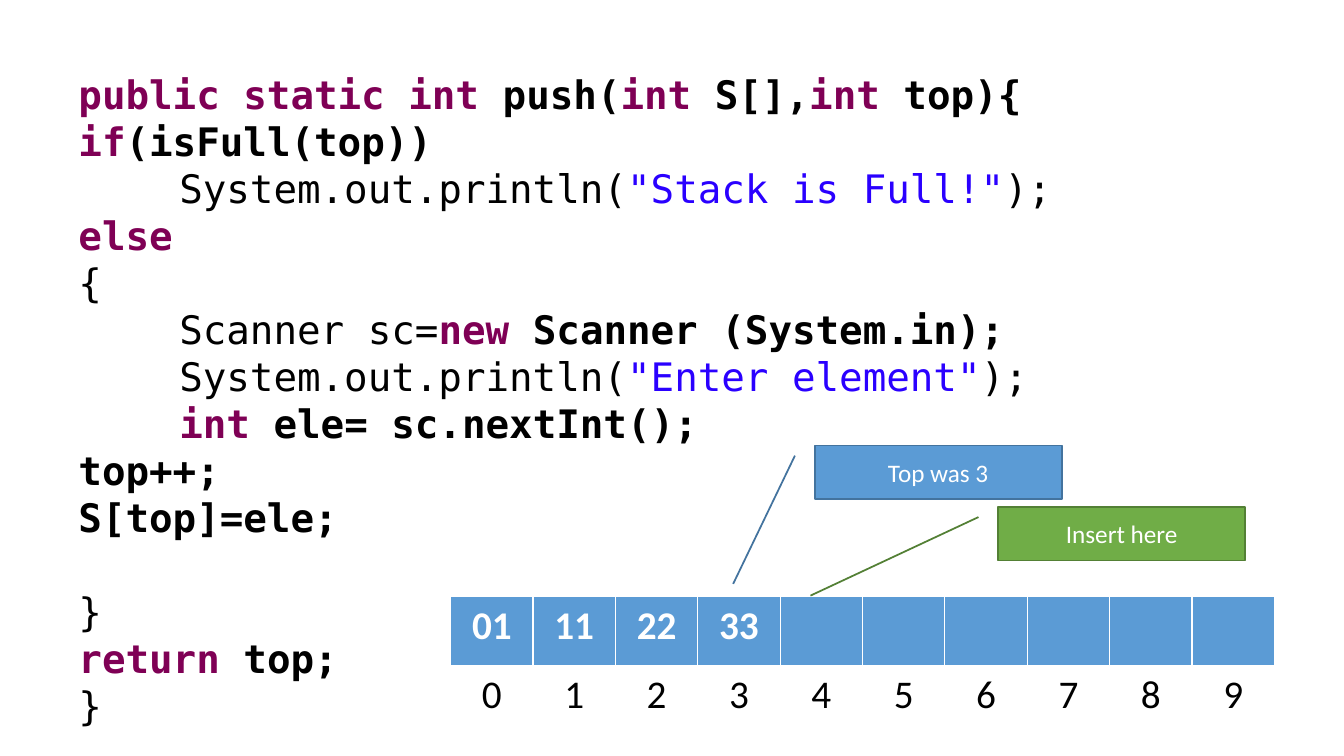
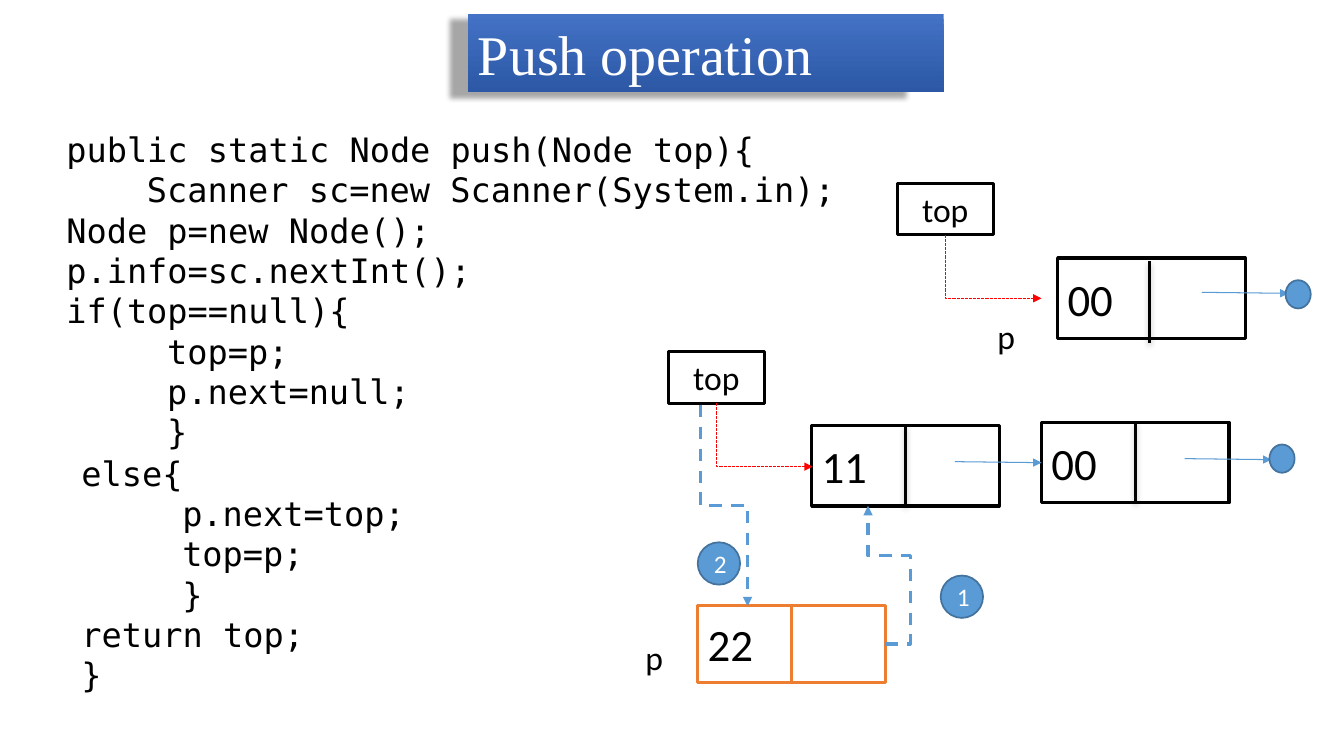
from lxml import etree
from pptx import Presentation
from pptx import util as u
from pptx.dml.color import RGBColor
from pptx.enum import dml, shapes, text
from pptx.oxml.ns import qn

PX = 9144  # 100 px to the inch
BLACK, WHITE = RGBColor(0, 0, 0), RGBColor(255, 255, 255)
BLUE, BLUE_EDGE = RGBColor(0x5B, 0x9B, 0xD5), RGBColor(0x43, 0x73, 0x9E)
GREEN, GREEN_EDGE = RGBColor(0x70, 0xAD, 0x47), RGBColor(0x53, 0x80, 0x35)
ORANGE, RED = RGBColor(0xED, 0x7D, 0x31), RGBColor(0xFF, 0, 0)
BAND_TOP, BAND_BOTTOM = RGBColor(0x44, 0x72, 0xC4), RGBColor(0x2C, 0x58, 0xA6)
KEYWORD, STRING = RGBColor(0x7F, 0, 0x55), RGBColor(0x2A, 0, 0xFF)
SANS, MONO, SERIF = "Calibri", "DejaVu Sans Mono", "Times New Roman"
SHAPE, ALIGN, DASH = shapes.MSO_SHAPE, text.PP_ALIGN, dml.MSO_LINE


def box(s, kind, x, y, w, h, label="", size=18, fill=WHITE, edge=None, edge_pt=1.25,
        color=BLACK, align=ALIGN.CENTER):
    sp = s.shapes.add_shape(kind, x * PX, y * PX, w * PX, h * PX)
    sp.shadow.inherit = False
    sp.fill.solid()
    sp.fill.fore_color.rgb = fill
    if edge is None:
        sp.line.fill.background()
    else:
        sp.line.color.rgb = edge
        sp.line.width = u.Pt(edge_pt)
    if label:
        p = sp.text_frame.paragraphs[0]
        p.text, p.alignment = label, align
        p.font.name, p.font.size, p.font.color.rgb = SANS, u.Pt(size), color
    return sp


def wire(s, x1, y1, x2, y2, color, width, arrow=True, dash=None, bend=None, turn=0, adj=()):
    """Draw a connector; bend names an elbow preset, and the ends are those before the turn."""
    kind = shapes.MSO_CONNECTOR.ELBOW if bend else shapes.MSO_CONNECTOR.STRAIGHT
    c = s.shapes.add_connector(kind, x1 * PX, y1 * PX, x2 * PX, y2 * PX)
    c.line.color.rgb, c.line.width = color, u.Pt(width)
    if dash:
        c.line.dash_style = dash
    if arrow:
        etree.SubElement(c.line._get_or_add_ln(), qn("a:tailEnd"), type="triangle")
    pr = c._element.spPr
    etree.SubElement(pr, qn("a:effectLst"))
    if bend:
        pr.find(qn("a:xfrm")).set("rot", str(turn * 60000))
        geom = pr.find(qn("a:prstGeom"))
        geom.set("prst", bend)
        for i, value in enumerate(adj, 1):
            etree.SubElement(geom.find(qn("a:avLst")), qn("a:gd"),
                             name=f"adj{i}", fmla=f"val {value}")
    return c


prs = Presentation()
prs.slide_width, prs.slide_height = 1333 * PX, 750 * PX
array_slide = prs.slides.add_slide(prs.slide_layouts[6])
list_slide = prs.slides.add_slide(prs.slide_layouts[5])

# Code listings: every line is an indent and its runs (text, style)
STYLES = {"key": (KEYWORD, True), "bold": (BLACK, True),
          "plain": (BLACK, False), "string": (STRING, False)}
array_code = [
    (0, [("public static int", "key"), (" push(", "bold"), ("int", "key"),
         (" S[],", "bold"), ("int", "key"), (" top){", "bold")]),
    (0, [("if", "key"), ("(isFull(top))", "bold")]),
    (100, [("System.out.println(", "plain"), ('"Stack is Full!"', "string"), (");", "plain")]),
    (0, [("else", "key")]),
    (0, [("{", "plain")]),
    (100, [("Scanner sc=", "plain"), ("new", "key"), (" Scanner (System.in);", "bold")]),
    (100, [("System.out.println(", "plain"), ('"Enter element"', "string"), (");", "plain")]),
    (100, [("int ", "key"), ("ele= sc.nextInt();", "bold")]),
    (0, [("top++;", "bold")]),
    (0, [("S[top]=ele;", "bold")]),
    (0, [("}", "plain")]),
    (0, [("return", "key"), (" top;", "bold")]),
    (0, [("}", "plain")]),
]
list_code = [(0, "public static Node push(Node top){"),
             (80, "Scanner sc=new Scanner(System.in);"),
             (0, "Node p=new Node();"), (0, "p.info=sc.nextInt();"), (0, "if(top==null){"),
             (100, "top=p;"), (100, "p.next=null;"), (100, "}")]
else_code = [(0, "else{"), (100, "p.next=top;"), (100, "top=p;"), (100, "}"),
             (0, "return top;"), (0, "}")]
listings = [
    (array_slide, 68, 65, 1191, 670, 28, array_code),
    (list_slide, 56, 123, 884, 333, 24, [(i, [(t, "plain")]) for i, t in list_code]),
    (list_slide, 71, 444, 527, 252, 24, [(i, [(t, "plain")]) for i, t in else_code]),
]
for s, x, y, w, h, size, lines in listings:
    tf = s.shapes.add_textbox(x * PX, y * PX, w * PX, h * PX).text_frame
    tf.word_wrap = True
    for n, (indent, runs) in enumerate(lines):
        p = tf.paragraphs[0] if n == 0 else tf.add_paragraph()
        p.font.name, p.font.size = MONO, u.Pt(size)
        p.line_spacing = u.Pt(1.2 * size)
        p._p.get_or_add_pPr().set("marL", str(indent * PX))
        for content, style in runs:
            r = p.add_run()
            r.text = content
            r.font.color.rgb, r.font.bold = STYLES[style]
tf = array_slide.shapes[0].text_frame
tf.paragraphs[10].space_before = u.Pt(33.6)

# Slide 1: the array and its callouts
tbl = array_slide.shapes.add_table(2, 10, 447 * PX, 592 * PX, 817 * PX, 137 * PX).table
tbl.horz_banding = False
values = ["01", "11", "22", "33"] + [""] * 6
for col, value in enumerate(values):
    for row, (content, color) in enumerate([(value, WHITE), (str(col), BLACK)]):
        cell = tbl.cell(row, col)
        if row == 0:
            cell.fill.solid()
            cell.fill.fore_color.rgb = BLUE
        else:
            cell.fill.background()
        p = cell.text_frame.paragraphs[0]
        p.text, p.alignment = content, ALIGN.CENTER
        p.font.name, p.font.size = SANS, u.Pt(28)
        p.font.bold, p.font.color.rgb = row == 0, color

for x, y, label, fill, edge, tip_y, tip_x in [
        (808, 442, "Top was 3", BLUE, BLUE_EDGE, 2.59, -0.33),
        (990, 503, "Insert here", GREEN, GREEN_EDGE, 1.66, -0.76)]:
    sp = box(array_slide, SHAPE.LINE_CALLOUT_1, x, y, 245, 53, label,
             fill=fill, edge=edge, color=WHITE)
    for i, value in enumerate([0.19, -0.08, tip_y, tip_x]):
        sp.adjustments[i] = value

# Slide 2: title band
s = list_slide
title = s.shapes.title
title.left, title.top, title.width, title.height = 464 * PX, 14 * PX, 472 * PX, 77 * PX
title.fill.gradient()
title.fill.gradient_angle = 270
for stop, color, position in zip(title.fill.gradient_stops, (BAND_TOP, BAND_BOTTOM), (0, 1)):
    stop.color.rgb, stop.position = color, position
title.shadow.inherit = False
tf = title.text_frame
tf.auto_size, tf.vertical_anchor = text.MSO_AUTO_SIZE.NONE, text.MSO_ANCHOR.TOP
p = tf.paragraphs[0]
p.text, p.alignment = "Push operation", ALIGN.LEFT
p.font.name, p.font.size, p.font.color.rgb = SERIF, u.Pt(40), WHITE
shadows = [(title, 34, 3.5, 4, 96)]

# Nodes, their dividers and the boxes that point at them
nodes = []
for x, y, h, value, edge in [(805, 422, 80, "11", BLACK), (1033, 419, 80, "00", BLACK),
                             (692, 601, 76, "22", ORANGE), (1049, 256, 80, "00", BLACK)]:
    nodes.append(box(s, SHAPE.RECTANGLE, x, y, 186, h, value, 32, edge=edge, edge_pt=2.25,
                     align=ALIGN.LEFT))
first, second, new, only = nodes
for node in (first, second, new):
    plain = node is not new
    divider = wire(s, 0, 0, 0, 0, BLACK if plain else ORANGE, 1.75 if plain else 2.25, arrow=False)
    divider.begin_connect(node, 0)
    divider.end_connect(node, 2)
    if plain:
        shadows.append((divider, 28, 4, 2, 100))
divider = wire(s, 1140, 259, 1140, 340, BLACK, 1.75, arrow=False)
shadows.append((divider, 28, 4, 2, 100))

for x, y in [(663, 349), (890, 182)]:
    box(s, SHAPE.RECTANGLE, x, y, 95, 51, "top", 24, edge=BLACK, edge_pt=2.25)
    wire(s, x + 127, y + 35, x + 64, y + 130, RED, 0.75, dash=DASH.SQUARE_DOT,
         bend="bentConnector2", turn=270)
for x, y in [(616, 626), (965, 308)]:
    box(s, SHAPE.RECTANGLE, x, y, 66, 51, "p", 24)

# Links to the next node or to the end of the list
wire(s, 947, 458, 1033, 459, BLUE, 0.75).end_connect(second, 1)
for x, y, end_x, end_y in [(1175, 455, 1259, 441), (1192, 290, 1275, 278)]:
    wire(s, x, y, x + 86, y + 1, BLUE, 0.75)
    box(s, SHAPE.OVAL, end_x, end_y, 25, 28, fill=BLUE, edge=BLUE_EDGE)

# The two steps of a push
wire(s, 878, 639, 861, 502, BLUE, 2.25, dash=DASH.DASH,
     bend="bentConnector4", adj=(-145600, 63900))
wire(s, 818, 478, 618, 525, BLUE, 2.25, dash=DASH.DASH,
     bend="bentConnector3", turn=270, adj=(50000,))
for x, y, step in [(933, 571, "1"), (692, 538, "2")]:
    box(s, SHAPE.OVAL, x, y, 42, 42, step, fill=BLUE, edge=BLUE_EDGE, color=WHITE)

for sp, alpha, blur, dist, scale in shadows:
    shadow = etree.SubElement(sp._element.spPr.find(qn("a:effectLst")), qn("a:outerShdw"),
                              blurRad=str(u.Pt(blur)), dist=str(u.Pt(dist)), dir="5400000",
                              sx=str(scale * 1000), algn="ctr", rotWithShape="0")
    color = etree.SubElement(shadow, qn("a:srgbClr"), val=str(BLACK))
    etree.SubElement(color, qn("a:alpha"), val=str(alpha * 1000))

prs.save("out.pptx")
